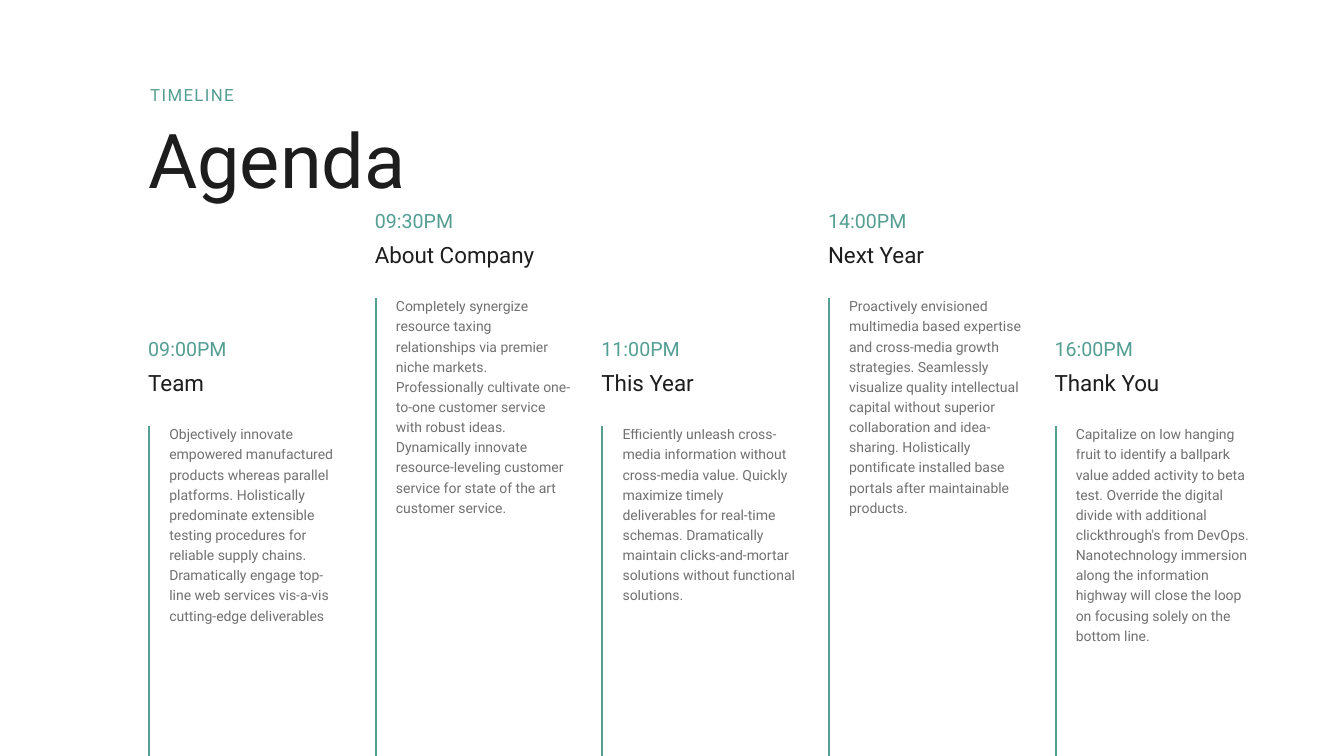
"""Build the agenda timeline slide."""
from lxml.etree import SubElement
from pptx import Presentation
from pptx.dml.color import RGBColor
from pptx.enum.shapes import MSO_CONNECTOR
from pptx.enum.text import MSO_ANCHOR, MSO_AUTO_SIZE
from pptx.oxml.ns import qn
from pptx.util import Inches, Pt

COLORS = {"accent": "549E92", "ink": "1D1D1D", "body": "343434"}
FONT = "Roboto"
SLIDE_WIDTH, SLIDE_HEIGHT = 13.33, 7.5
FIRST_LEFT, LAST_LEFT = 1.47, 10.46
HIGH_TOP, LOW_TOP = 2.11, 3.38

AGENDA = [
    ("09:00PM", "Team", LOW_TOP, 2.02,
     "Objectively innovate empowered manufactured products whereas parallel platforms. "
     "Holistically predominate extensible testing procedures for reliable supply chains. "
     "Dramatically engage top-line web services vis-a-vis cutting-edge deliverables"),
    ("09:30PM", "About Company", HIGH_TOP, 2.42,
     "Completely synergize resource taxing relationships via premier niche markets. "
     "Professionally cultivate one-to-one customer service with robust ideas. "
     "Dynamically innovate resource-leveling customer service for state of the art "
     "customer service."),
    ("11:00PM", "This Year", LOW_TOP, 1.82,
     "Efficiently unleash cross-media information without cross-media value. "
     "Quickly maximize timely deliverables for real-time schemas. "
     "Dramatically maintain clicks-and-mortar solutions without functional solutions."),
    ("14:00PM", "Next Year", HIGH_TOP, 2.42,
     "Proactively envisioned multimedia based expertise and cross-media growth strategies. "
     "Seamlessly visualize quality intellectual capital without superior collaboration "
     "and idea-sharing. Holistically pontificate installed base portals after "
     "maintainable products."),
    ("16:00PM", "Thank You", LOW_TOP, 2.42,
     "Capitalize on low hanging fruit to identify a ballpark value added activity to "
     "beta test. Override the digital divide with additional clickthrough's from DevOps. "
     "Nanotechnology immersion along the information highway will close the loop on "
     "focusing solely on the bottom line."),
]

STYLES = {
    "eyebrow": {"size": 12, "color": "accent", "spacing": 0.8, "bottom": True,
                "wrap": False, "tracking": 100},
    "title": {"size": 54, "color": "ink", "spacing": 0.8, "wrap": False},
    "time": {"size": 14, "color": "accent", "spacing": 0.8, "bottom": True},
    "heading": {"size": 16, "color": "ink", "spacing": 0.8},
    "body": {"size": 10, "color": "body", "spacing": 1.2, "right": 0.1, "alpha": 70},
}


def add_text(page, text, style_name, left, top, width, height):
    style = STYLES[style_name]
    box = page.shapes.add_textbox(*map(Inches, (left, top, width, height)))
    frame_format = {
        "margin_left": 0, "margin_top": 0, "margin_bottom": 0,
        "margin_right": Inches(style.get("right", 0)),
        "word_wrap": style.get("wrap", True),
        "auto_size": MSO_AUTO_SIZE.SHAPE_TO_FIT_TEXT,
        "vertical_anchor": MSO_ANCHOR.BOTTOM if style.get("bottom") else MSO_ANCHOR.TOP,
    }
    for name, value in frame_format.items():
        setattr(box.text_frame, name, value)
    para = box.text_frame.paragraphs[0]
    para.line_spacing = style["spacing"]
    span = para.add_run()
    span.text = text
    for name, value in {"name": FONT, "size": Pt(style["size"])}.items():
        setattr(span.font, name, value)
    span.font.color.rgb = RGBColor.from_string(COLORS[style["color"]])
    properties = span._r.get_or_add_rPr()
    if "tracking" in style:
        properties.set("spc", str(style["tracking"]))
    if "alpha" in style:
        color = properties.find(".//" + qn("a:srgbClr"))
        SubElement(color, qn("a:alpha")).set("val", str(style["alpha"] * 1000))


def add_rule(page, left, top):
    rule = page.shapes.add_connector(
        MSO_CONNECTOR.STRAIGHT, *map(Inches, (left, top, left, SLIDE_HEIGHT)))
    rule.line.color.rgb = RGBColor.from_string(COLORS["accent"])
    rule.line.width = Pt(1.5)
    SubElement(rule._element.spPr, qn("a:effectLst"))


def main():
    deck = Presentation()
    deck.slide_width, deck.slide_height = Inches(SLIDE_WIDTH), Inches(SLIDE_HEIGHT)
    page = deck.slides.add_slide(deck.slide_layouts[6])
    add_text(page, "TIMELINE", "eyebrow", 1.49, 0.88, 0.91, 0.16)
    add_text(page, "Agenda", "title", FIRST_LEFT, 1.29, 2.69, 0.73)
    step = (LAST_LEFT - FIRST_LEFT) / (len(AGENDA) - 1)
    for index, (time, heading, top, body_height, body) in enumerate(AGENDA):
        left = FIRST_LEFT + index * step
        add_text(page, time, "time", left, top, 2.05, 0.19)
        add_text(page, heading, "heading", left, top + 0.33, 2.05, 0.22)
        add_rule(page, left + 0.01, top + 0.85)
        add_text(page, body, "body", left + 0.21, top + 0.81, 1.84, body_height)
    deck.save("out.pptx")


if __name__ == "__main__":
    main()
